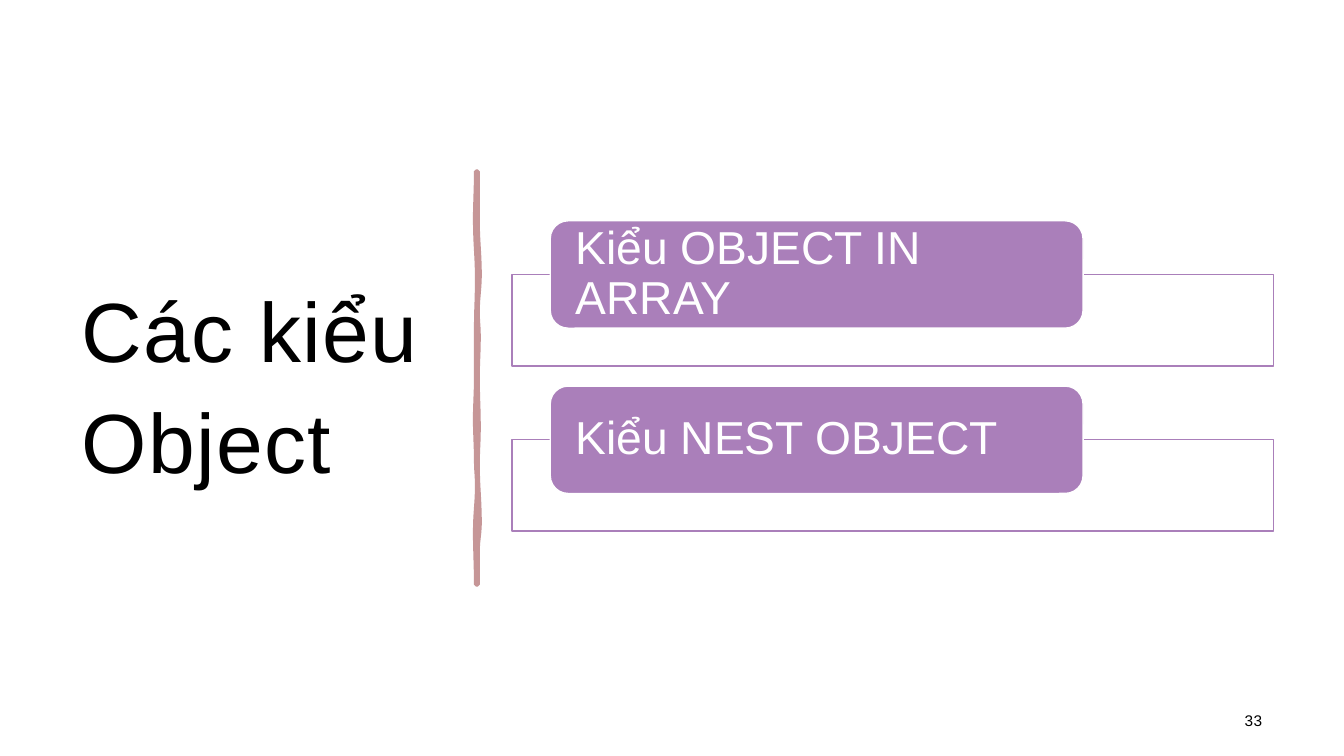
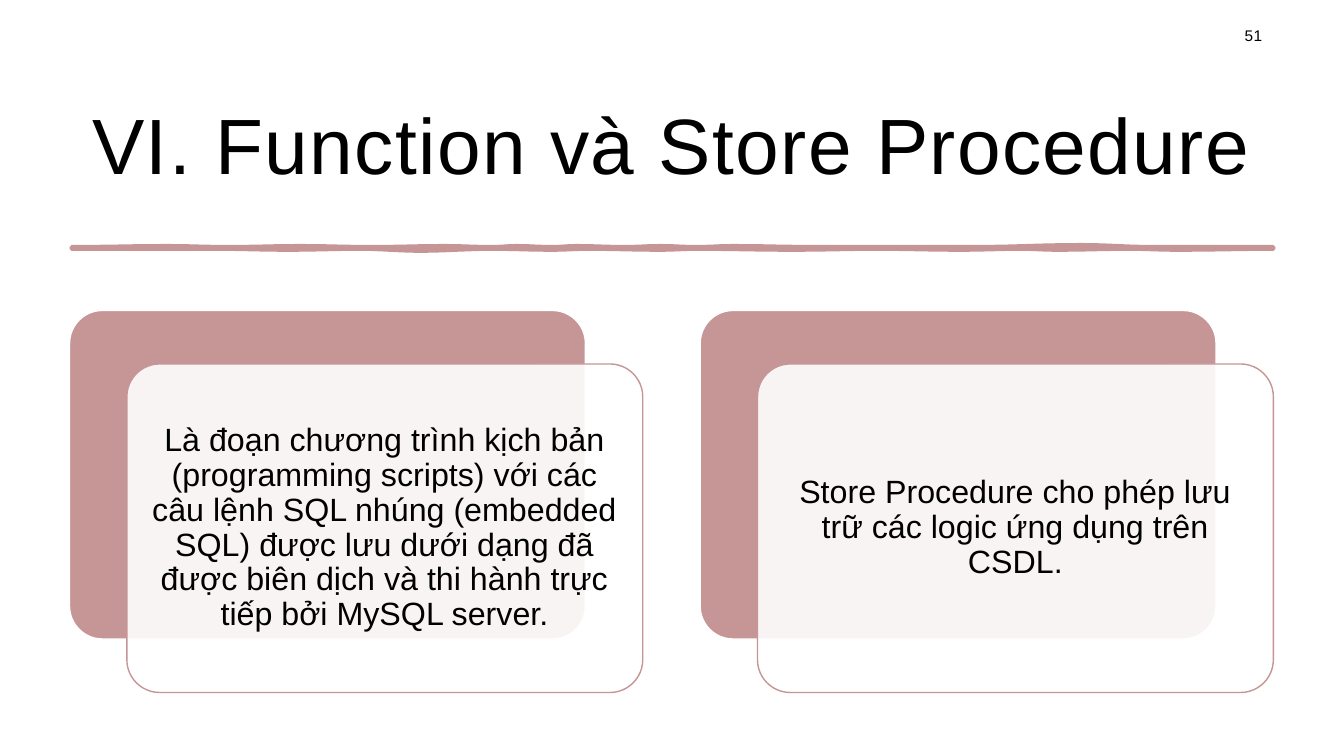
from dataclasses import dataclass
from math import cos, pi

from lxml import etree
from pptx import Presentation
from pptx.dml.color import RGBColor
from pptx.enum.shapes import MSO_SHAPE
from pptx.enum.text import MSO_ANCHOR, PP_ALIGN
from pptx.oxml.ns import qn
from pptx.util import Inches, Pt

RECTANGLE, ROUNDED = MSO_SHAPE.RECTANGLE, MSO_SHAPE.ROUNDED_RECTANGLE
MIDDLE = MSO_ANCHOR.MIDDLE
LEFT, CENTER, RIGHT = PP_ALIGN.LEFT, PP_ALIGN.CENTER, PP_ALIGN.RIGHT

BLACK = RGBColor(0x00, 0x00, 0x00)
WHITE = RGBColor(0xFF, 0xFF, 0xFF)
ROSE = RGBColor(0xC6, 0x96, 0x97)
PURPLE = RGBColor(0xAA, 0x7F, 0xBA)
FONT = "Arial"
TEXT_INSETS = (0.12, 0.12, 0.12, 0.1)
MARGIN = 0.69
RULE_THICKNESS = 0.02

# Each edge of a hand-drawn rule: (share of its length, sideways offset in inches).
UPRIGHT_EDGES = (
    [(0, 0), (0.12, -0.01), (0.26, 0.01), (0.38, 0), (0.5, 0), (0.6, -0.01),
     (0.7, 0), (0.76, 0.01), (0.87, -0.01), (1, 0)],
    [(0, 0), (0.12, 0), (0.25, 0.02), (0.34, 0), (0.4, 0.01), (0.5, 0),
     (0.62, 0.01), (0.71, 0), (0.85, 0.02), (0.92, 0), (1, 0)],
)
LEVEL_EDGES = (
    [(0, 0), (0.08, -0.01), (0.13, 0), (0.19, -0.01), (0.25, 0), (0.31, -0.01),
     (0.35, 0), (0.37, -0.01), (0.4, 0), (0.42, -0.01), (0.46, 0), (0.49, -0.01),
     (0.52, 0), (0.55, -0.01), (0.62, 0), (0.75, 0), (0.84, -0.02), (0.9, 0), (1, 0)],
    [(0, 0), (0.12, 0), (0.18, 0.01), (0.24, 0), (0.29, 0.02), (0.35, 0), (0.4, 0.01),
     (0.43, 0), (0.49, 0.01), (0.52, 0), (0.6, 0.01), (0.67, 0), (0.74, 0.01),
     (0.79, 0), (0.82, 0.01), (0.88, 0), (0.92, 0.01), (1, 0)],
)


@dataclass
class Box:
    """A region in inches."""
    left: float
    top: float
    width: float
    height: float

    def inner(self, x, y, width, height):
        """The region inside this one whose place and size are given as shares."""
        return Box(self.left + x * self.width, self.top + y * self.height,
                   width * self.width, height * self.height)

    def columns(self, count, gap):
        width = (self.width - gap * (count - 1)) / count
        return [Box(self.left + i * (width + gap), self.top, width, self.height)
                for i in range(count)]

    def rows(self, count, gap):
        height = (self.height - gap * (count - 1)) / count
        return [Box(self.left, self.top + i * (height + gap), self.width, height)
                for i in range(count)]

    def emu(self):
        return [Inches(v) for v in (self.left, self.top, self.width, self.height)]


def write(shape, text, size, color, align, insets, line_spacing=0.9, tracking=0):
    """Fill a shape with one paragraph; tracking is the letter spacing in points."""
    frame = shape.text_frame
    frame.word_wrap = True
    frame.vertical_anchor = MIDDLE
    (frame.margin_left, frame.margin_top,
     frame.margin_right, frame.margin_bottom) = [Inches(v) for v in insets]
    para = frame.paragraphs[0]
    para.text = text
    para.alignment = align
    para.line_spacing = line_spacing
    span = para.runs[0]
    span.font.name = FONT
    span.font.size = Pt(size)
    span.font.color.rgb = color
    if tracking:
        span._r.get_or_add_rPr().set("spc", str(int(tracking * 100)))


def paint(shape, fill, line, line_width=1, opacity=100):
    shape.shadow.inherit = False
    shape.fill.solid()
    shape.fill.fore_color.rgb = fill
    shape.line.color.rgb = line
    shape.line.width = Pt(line_width)
    if opacity < 100:
        color = shape.fill._xPr.find(qn("a:solidFill"))[0]
        etree.SubElement(color, qn("a:alpha")).set("val", str(opacity * 1000))


def add_panel(page, kind, box, fill, line, opacity=100, corner=None):
    panel = page.shapes.add_shape(kind, *box.emu())
    paint(panel, fill, line, opacity=opacity)
    if corner is not None:
        panel.adjustments[0] = corner
    return panel


def add_title(page, box, text, size, align, line_spacing):
    title = page.shapes.add_textbox(*box.emu())
    write(title, text, size, BLACK, align, TEXT_INSETS, line_spacing, tracking=1)


def add_page_number(page, top, number):
    box = page.shapes.add_textbox(*Box(10.64, top, 2, 0.4).emu())
    write(box, str(number), 11, BLACK, RIGHT, TEXT_INSETS, tracking=0.4)


def wave(stations, steps=6):
    """Ease from each station to the next."""
    points = [stations[0]]
    for (start, low), (end, high) in zip(stations, stations[1:]):
        for step in range(1, steps + 1):
            share = step / steps
            ease = (1 - cos(pi * share)) / 2
            points.append((start + (end - start) * share, low + (high - low) * ease))
    return points


def add_sketched_rule(page, left, top, length, edges, upright=False):
    near, far = (wave(edge) for edge in edges)
    outline = near + [(at, offset + RULE_THICKNESS) for at, offset in reversed(far)]
    points = []
    for at, across in outline:
        along = at * length
        x, y = (across, along) if upright else (along, across)
        points.append((Inches(left + x), Inches(top + y)))
    builder = page.shapes.build_freeform(*points[0])
    builder.add_line_segments(points[1:], close=True)
    paint(builder.convert_to_shape(), ROSE, ROSE, 2.75)


def add_labelled_frame(page, box, label):
    add_panel(page, RECTANGLE, box.inner(0, 0.37, 1, 0.63), WHITE, PURPLE, opacity=90)
    pill = add_panel(page, ROUNDED, box.inner(0.05, 0, 0.7, 0.74), PURPLE, WHITE)
    write(pill, label, 33, WHITE, LEFT, (0.2, 0, 0.2, 0))


def add_layered_card(page, box, text):
    add_panel(page, ROUNDED, box.inner(0, 0, 0.9, 0.86), ROSE, WHITE, corner=0.1)
    front = add_panel(page, ROUNDED, box.inner(0.1, 0.14, 0.9, 0.86), WHITE, ROSE,
                      opacity=90, corner=0.1)
    write(front, text, 23, BLACK, CENTER, (0.1, 0.1, 0.1, 0.1))


def add_list_slide(page, title, labels, number):
    add_title(page, Box(MARGIN, 0.7, 3.74, 6.11), title, 60, LEFT, 1.1)
    add_sketched_rule(page, 4.72, 1.7, 4.1, UPRIGHT_EDGES, upright=True)
    add_page_number(page, 6.95, number)
    rows = Box(5.08, 2.19, 7.55, 3.08).rows(len(labels), 0.2)
    for box, label in zip(rows, labels):
        add_labelled_frame(page, box, label)


def add_card_slide(page, title, texts, number):
    add_title(page, Box(MARGIN, 0.69, 11.94, 1.44), title, 56, CENTER, 1)
    add_page_number(page, 0.15, number)
    add_sketched_rule(page, 0.71, 2.45, 11.92, LEVEL_EDGES)
    columns = Box(MARGIN, 3.08, 11.94, 3.79).columns(len(texts), 0.57)
    for box, text in zip(columns, texts):
        add_layered_card(page, box, text)


def main():
    deck = Presentation()
    deck.slide_width, deck.slide_height = Inches(13.33), Inches(7.5)
    blank = deck.slide_layouts[6]
    add_list_slide(deck.slides.add_slide(blank), "Các kiểu Object",
                   ["Kiểu OBJECT IN ARRAY", "Kiểu NEST OBJECT"], 33)
    add_card_slide(
        deck.slides.add_slide(blank), "VI. Function và Store Procedure",
        ["Là đoạn chương trình kịch bản (programming scripts) với các câu lệnh SQL "
         "nhúng (embedded SQL) được lưu dưới dạng đã được biên dịch và thi hành "
         "trực tiếp bởi MySQL server.",
         "Store Procedure cho phép lưu trữ các logic ứng dụng trên CSDL."], 51)
    deck.save("out.pptx")


if __name__ == "__main__":
    main()
